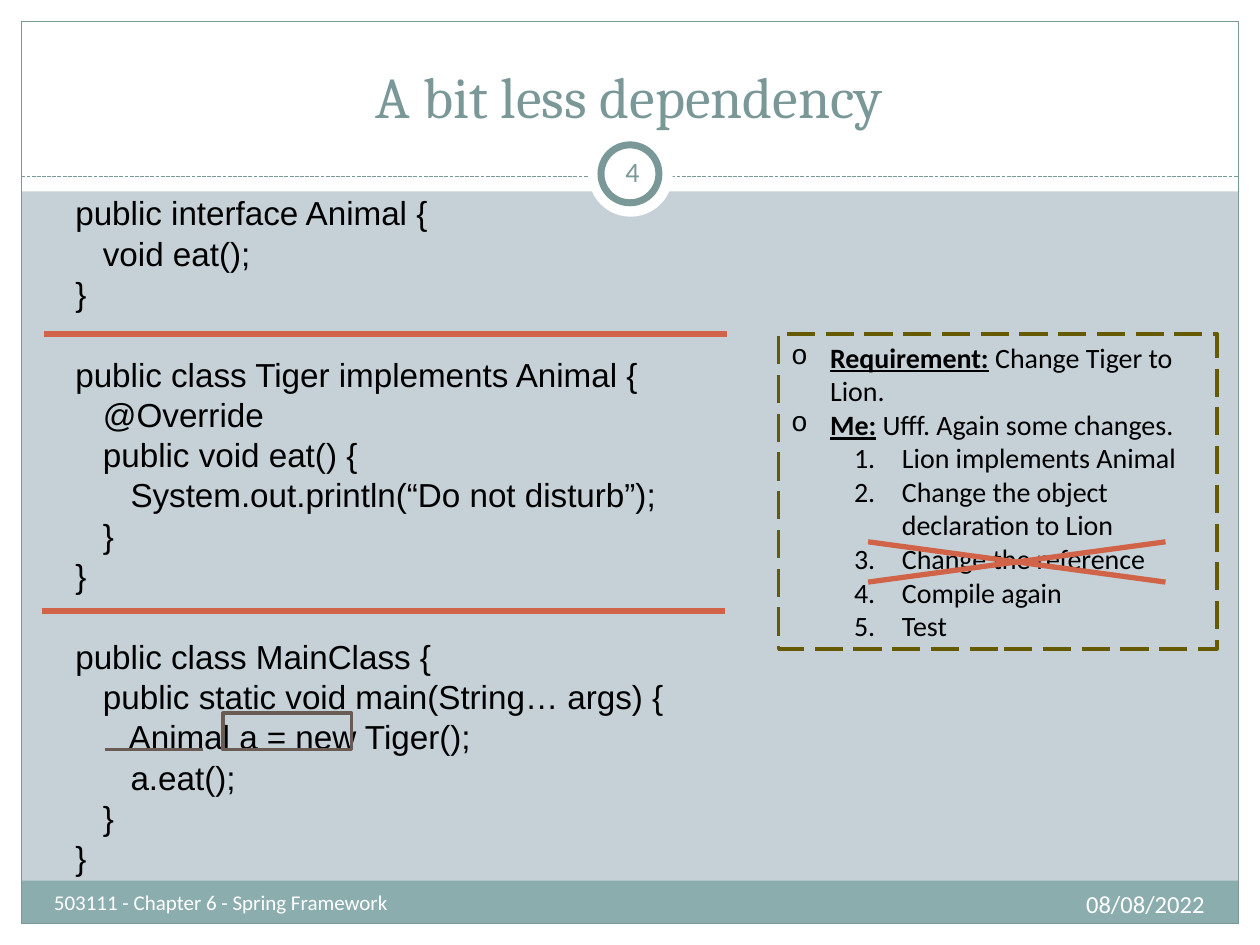
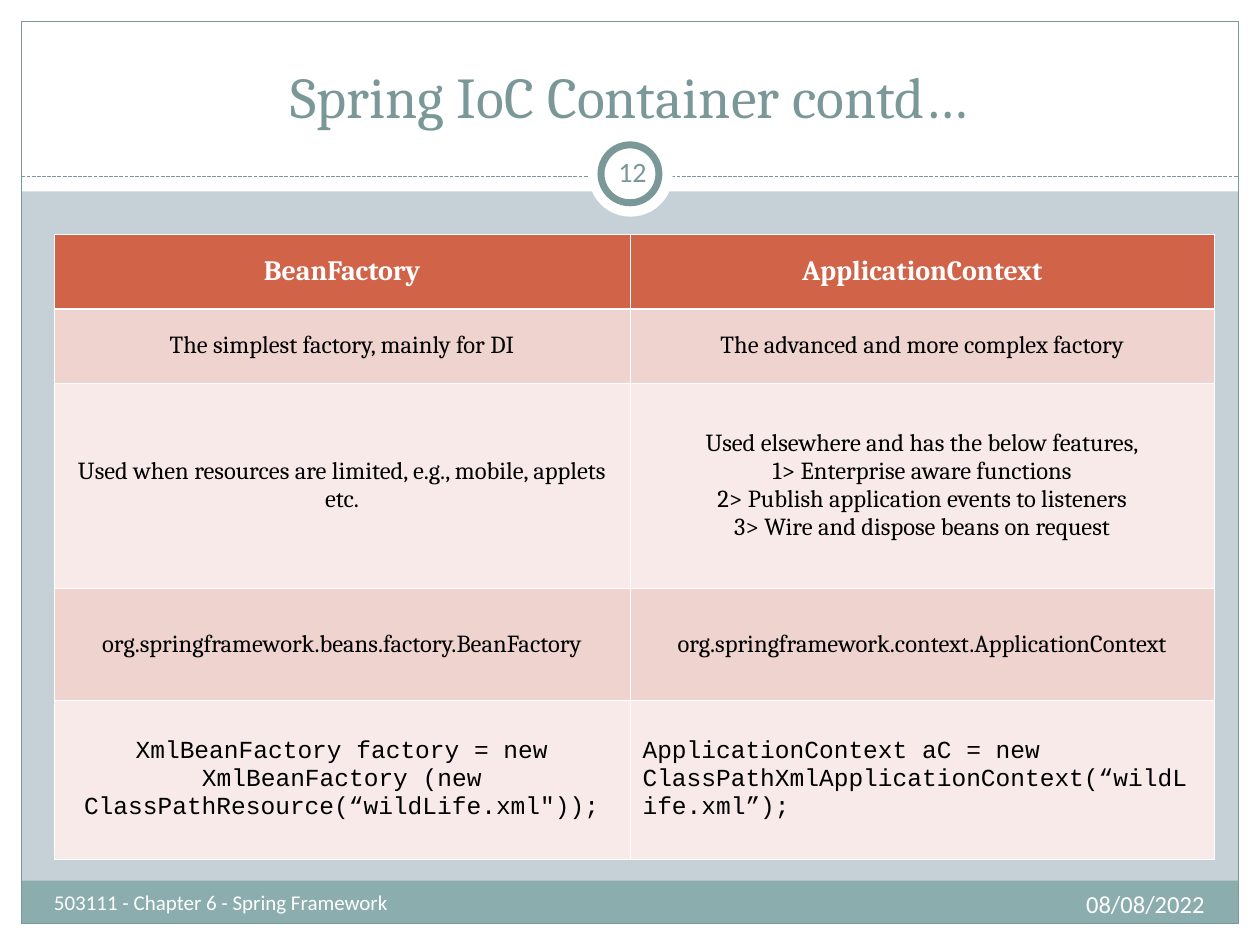
from lxml import etree
from pptx import Presentation
from pptx import util as u
from pptx.dml import color as dml
from pptx.enum import dml as lines, shapes, text
from pptx.oxml import ns

WHITE, BLACK, TEAL, BAND = "FFFFFF", "000000", "7B9899", "8CADAE"
ORANGE, BROWN, OLIVE = "D16349", "695C54", "665A00"
colour = dml.RGBColor.from_string
ALIGN = text.PP_ALIGN
ANCHOR = text.MSO_ANCHOR


def format_runs(paragraph, size, name, hex_colour, bold=None):
    for run in paragraph.runs:
        run.font.size = u.Pt(size)
        run.font.name = name
        run.font.color.rgb = colour(hex_colour)
        if bold is not None:
            run.font.bold = bold


def draw_line(slide, x1, y1, x2, y2, hex_colour, width):
    line = slide.shapes.add_connector(
        shapes.MSO_CONNECTOR.STRAIGHT,
        u.Inches(x1), u.Inches(y1), u.Inches(x2), u.Inches(y2))
    line.line.color.rgb = colour(hex_colour)
    line.line.width = u.Pt(width)
    etree.SubElement(line.element.spPr, ns.qn("a:effectLst"))
    return line


presentation = Presentation()
presentation.slide_width = u.Inches(10)
presentation.slide_height = u.Inches(7.5)
master = presentation.slide_master
master.background.fill.solid()
master.background.fill.fore_color.rgb = colour("C5D1D7")
title_only = presentation.slide_layouts[5]
code_slide = presentation.slides.add_slide(title_only)
table_slide = presentation.slides.add_slide(title_only)

RECTANGLE = shapes.MSO_SHAPE.RECTANGLE
OVAL = shapes.MSO_SHAPE.OVAL
frame_parts = [
    (RECTANGLE, 0, 7.33, 10, 0.17, WHITE, None),
    (RECTANGLE, 0, 0, 10, 1.52, WHITE, None),
    (RECTANGLE, 0, 0, 0.17, 7.5, WHITE, None),
    (RECTANGLE, 9.83, 0, 0.17, 7.5, WHITE, None),
    (RECTANGLE, 0.17, 6.99, 9.66, 0.34, BAND, None),
    (RECTANGLE, 0.17, 0.17, 9.66, 7.16, None, 0.75),
    (OVAL, 4.67, 1.05, 0.67, 0.67, WHITE, None),
    (OVAL, 4.77, 1.15, 0.46, 0.46, WHITE, 4),
]
divider = draw_line(code_slide, 0.17, 1.4, 9.83, 1.4, TEAL, 0.75)
divider.line.dash_style = lines.MSO_LINE.SQUARE_DOT
decorations = []
for kind, left, top, width, height, fill, line_width in frame_parts:
    shape = code_slide.shapes.add_shape(
        kind, u.Inches(left), u.Inches(top), u.Inches(width), u.Inches(height))
    shape.shadow.inherit = False
    if fill:
        shape.fill.solid()
        shape.fill.fore_color.rgb = colour(fill)
    else:
        shape.fill.background()
    if line_width:
        shape.line.color.rgb = colour(TEAL)
        shape.line.width = u.Pt(line_width)
    else:
        shape.line.fill.background()
    decorations.append(shape)
decorations.insert(6, divider)
for number, shape in enumerate(decorations, start=101):
    shape.element.xpath(".//p:cNvPr")[0].set("id", str(number))
    master.shapes.element.append(shape.element)

slide_titles = [
    (code_slide, "A bit less dependency", "4"),
    (table_slide, "Spring IoC Container contd…", "12"),
]
for slide, heading, page in slide_titles:
    title = slide.shapes.title
    title.left, title.top = u.Inches(0.33), u.Inches(0.25)
    title.width, title.height = u.Inches(9.33), u.Inches(0.83)
    title.text_frame.text = heading
    title.text_frame.vertical_anchor = ANCHOR.BOTTOM
    title.text_frame.auto_size = text.MSO_AUTO_SIZE.NONE
    title.text_frame.paragraphs[0].alignment = ALIGN.CENTER
    format_runs(title.text_frame.paragraphs[0], 33, "Cambria", TEAL)
    labels = [
        (page, 4.77, 1.12, 0.5, 0.48, 0.05, 16, TEAL, ALIGN.CENTER, ANCHOR.MIDDLE),
        ("503111 - Chapter 6 - Spring Framework",
         0.33, 7.01, 3.92, 0.4, 0.1, 12, WHITE, ALIGN.LEFT, ANCHOR.TOP),
        ("08/08/2022", 6.33, 7.01, 3.33, 0.4, 0.1, 14, WHITE, ALIGN.RIGHT, ANCHOR.TOP),
    ]
    for words, left, top, width, height, margin, size, ink, alignment, anchor in labels:
        label = slide.shapes.add_textbox(
            u.Inches(left), u.Inches(top), u.Inches(width), u.Inches(height)).text_frame
        label.word_wrap = True
        label.margin_left = label.margin_right = u.Inches(margin)
        label.vertical_anchor = anchor
        label.text = words
        label.paragraphs[0].alignment = alignment
        format_runs(label.paragraphs[0], size, "Calibri", ink)

code_blocks = [
    """public interface Animal {
   void eat();
}""",
    """public class Tiger implements Animal {
   @Override
   public void eat() {
      System.out.println(“Do not disturb”);
   }
}""",
    """public class MainClass {
   public static void main(String… args) {
      Animal a = new Tiger();
      a.eat();
   }
}""",
]
code = code_slide.shapes.add_textbox(
    u.Inches(0.5), u.Inches(1.54), u.Inches(9), u.Inches(5.95)).text_frame
code.word_wrap = True
code.margin_top = u.Inches(0.05)
code.text = "\n".join(code_blocks)
block_starts = {3, 9}
for index, paragraph in enumerate(code.paragraphs):
    paragraph.line_spacing = 0.8
    if index:
        paragraph.space_before = u.Pt(27.9 if index in block_starts else 4.8)
    format_runs(paragraph, 19, "Arial", BLACK)

draw_line(code_slide, 0.83, 5.95, 1.61, 5.95, BROWN, 2)
draw_line(code_slide, 0.33, 4.85, 5.75, 4.85, ORANGE, 3)
draw_line(code_slide, 0.35, 2.65, 5.77, 2.65, ORANGE, 3)
boxes = []
for left, top, width, height, ink in [
    (1.77, 5.66, 1.02, 0.29, BROWN),
    (6.18, 2.65, 3.48, 2.5, OLIVE),
]:
    box = code_slide.shapes.add_shape(
        RECTANGLE, u.Inches(left), u.Inches(top), u.Inches(width), u.Inches(height))
    box.shadow.inherit = False
    box.fill.background()
    box.line.color.rgb = colour(ink)
    box.line.width = u.Pt(2)
    boxes.append(box)
variable_box, requirement_box = boxes
requirement_box.line.dash_style = lines.MSO_LINE.LONG_DASH

requirements = [
    ("Requirement:", " Change Tiger to Lion."),
    ("Me:", " Ufff. Again some changes."),
    ("", "Lion implements Animal"),
    ("", "Change the object declaration to Lion"),
    ("", "Change the reference"),
    ("", "Compile again"),
    ("", "Test"),
]
notes = requirement_box.text_frame
notes.word_wrap = True
notes.vertical_anchor = ANCHOR.TOP
for index, (lead, words) in enumerate(requirements):
    paragraph = notes.paragraphs[0] if index == 0 else notes.add_paragraph()
    paragraph.alignment = ALIGN.LEFT
    paragraph.level = 0 if lead else 1
    margin, hanging = (0.31, 0.31) if lead else (0.88, 0.38)
    properties = paragraph._p.get_or_add_pPr()
    properties.set("marL", str(u.Inches(margin)))
    properties.set("indent", str(-u.Inches(hanging)))
    bullet_colour = etree.SubElement(properties, ns.qn("a:buClr"))
    etree.SubElement(bullet_colour, ns.qn("a:srgbClr"), val=BLACK)
    if lead:
        etree.SubElement(properties, ns.qn("a:buFont"), typeface="Courier New")
        etree.SubElement(properties, ns.qn("a:buChar"), char="o")
        paragraph.add_run().text = lead
    else:
        etree.SubElement(properties, ns.qn("a:buFont"), typeface="Calibri")
        etree.SubElement(properties, ns.qn("a:buAutoNum"), type="arabicPeriod")
    paragraph.add_run().text = words
    format_runs(paragraph, 16, "Calibri", BLACK)
    if lead:
        paragraph.runs[0].font.bold = True
        paragraph.runs[0].font.underline = True

draw_line(code_slide, 9.25, 4.62, 6.89, 4.3, ORANGE, 3)
draw_line(code_slide, 9.25, 4.3, 6.89, 4.62, ORANGE, 3)

comparison = [
    ("BeanFactory", "ApplicationContext"),
    ("The simplest factory, mainly for DI", "The advanced and more complex factory"),
    ("Used when resources are limited, e.g., mobile, applets etc.",
     "Used elsewhere and has the below features,\n1> Enterprise aware functions\n"
     "2> Publish application events to listeners\n3> Wire and dispose beans on request"),
    ("org.springframework.beans.factory.BeanFactory",
     "org.springframework.context.ApplicationContext"),
    ("XmlBeanFactory factory = new XmlBeanFactory (new ClassPathResource(“wildLife.xml\"));",
     "ApplicationContext aC = new ClassPathXmlApplicationContext(“wildLife.xml”);"),
]
row_heights = [0.59, 0.59, 1.63, 0.89, 1.26]
table = table_slide.shapes.add_table(
    len(comparison), 2, u.Inches(0.43), u.Inches(1.86), u.Inches(9.21), u.Inches(4.96)).table
table.columns[0].width = u.Inches(4.57)
table.columns[1].width = u.Inches(4.64)
last_row = len(comparison) - 1
for row, (height, entries) in enumerate(zip(row_heights, comparison)):
    table.rows[row].height = u.Inches(height)
    if row == 0:
        fill, size, name, ink = ORANGE, 16, "Cambria", WHITE
    else:
        fill = "EED3CF" if row % 2 else "F7EAE9"
        size, ink = 14, BLACK
        name = "Courier New" if row == last_row else "Cambria"
    for column, words in enumerate(entries):
        cell = table.cell(row, column)
        cell.text_frame.text = words
        cell.vertical_anchor = ANCHOR.MIDDLE
        for side in ("lnL", "lnR", "lnT", "lnB"):
            under_header = (row, side) in [(0, "lnB"), (1, "lnT")]
            border = etree.SubElement(
                cell._tc.get_or_add_tcPr(), ns.qn("a:" + side),
                w=str(u.Pt(1.47 if under_header else 0.45)))
            border_fill = etree.SubElement(border, ns.qn("a:solidFill"))
            etree.SubElement(border_fill, ns.qn("a:srgbClr"), val=WHITE)
        cell.fill.solid()
        cell.fill.fore_color.rgb = colour(fill)
        left_aligned = row == last_row and column == 1
        for paragraph in cell.text_frame.paragraphs:
            paragraph.alignment = ALIGN.LEFT if left_aligned else ALIGN.CENTER
            format_runs(paragraph, size, name, ink, bold=row == 0)

presentation.save("out.pptx")
